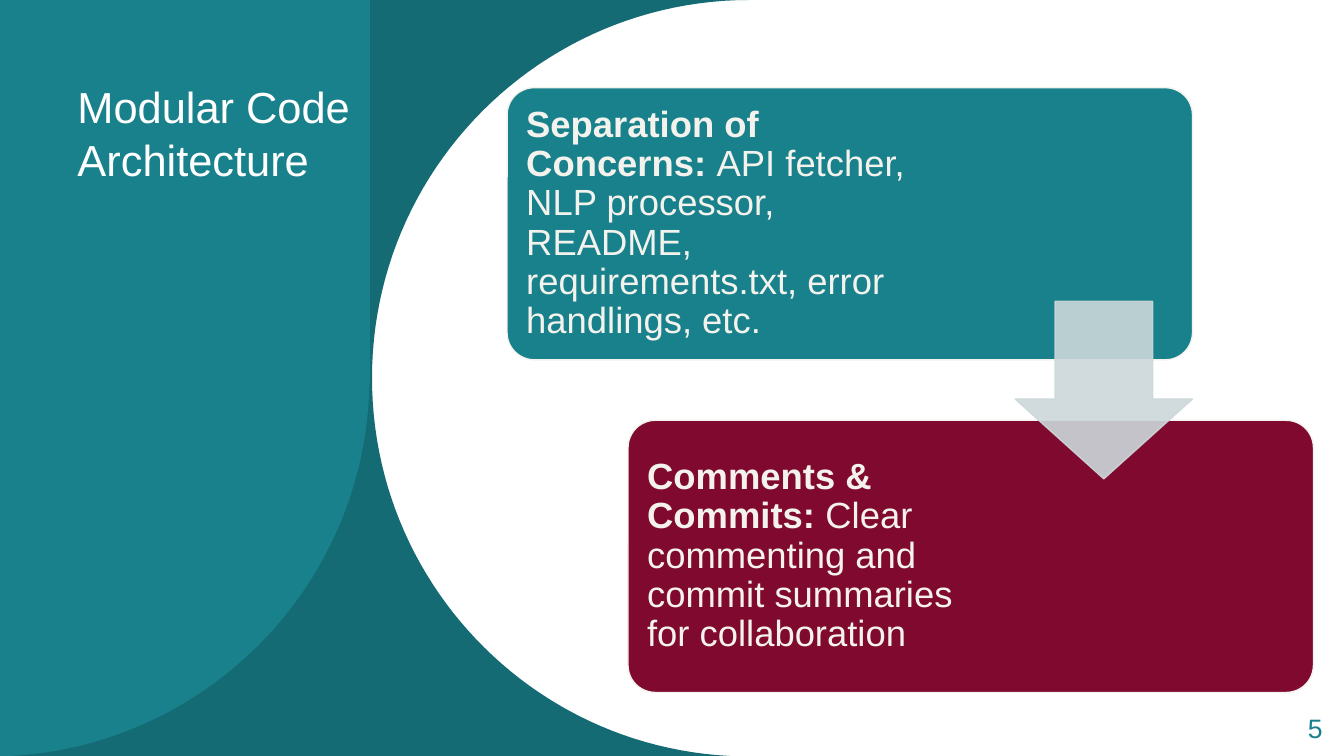
from lxml.etree import SubElement
from pptx import Presentation
from pptx.dml.color import RGBColor
from pptx.enum.shapes import MSO_SHAPE as Preset
from pptx.enum.text import MSO_ANCHOR as Anchor, PP_ALIGN as Align
from pptx.oxml.ns import qn
from pptx.util import Inches, Pt

COLOURS = {
    "teal": "18818C",
    "deep_teal": "146B73",
    "wine": "800A2F",
    "mist": "CCD8DA",
    "cream": "F4F2EC",
    "white": "FFFFFF",
}


def set_all(target, values):
    for name, value in values.items():
        setattr(target, name, value)


def bezier(start, control_1, control_2, end, steps=48):
    """Points along a cubic curve, both ends included."""
    points = []
    for step in range(steps + 1):
        t = step / steps
        weights = ((1 - t) ** 3, 3 * t * (1 - t) ** 2, 3 * t * t * (1 - t), t ** 3)
        corners = (start, control_1, control_2, end)
        points.append(tuple(sum(w * c[axis] for w, c in zip(weights, corners))
                            for axis in (0, 1)))
    return points


class SlideBuilder:
    """Draws on one slide; every length is a percentage of the slide's size."""

    font_name = "Arial"

    def __init__(self, deck):
        self.width, self.height = deck.slide_width, deck.slide_height
        self.slide = deck.slides.add_slide(deck.slide_layouts[6])
        set_all(self.slide.background.fill, {})
        self.shapes = self.slide.shapes

    def x(self, share):
        return round(self.width * share / 100)

    def y(self, share):
        return round(self.height * share / 100)

    def place(self, left, top, width, height):
        return self.x(left), self.y(top), self.x(width), self.y(height)

    def colour(self, name):
        return RGBColor.from_string(COLOURS[name])

    def paint(self, shape, fill, line=None, opacity=100):
        shape.shadow.inherit = False
        shape.fill.solid()
        shape.fill.fore_color.rgb = self.colour(fill)
        if line:
            shape.line.color.rgb = self.colour(line)
            shape.line.width = Pt(1)
        else:
            shape.line.fill.background()
        if opacity < 100:
            for tone in shape._element.spPr.iter(qn("a:srgbClr")):
                SubElement(tone, qn("a:alpha"), val=str(opacity * 1000))

    def outline(self, points, fill):
        corners = [(self.x(x), self.y(y)) for x, y in points]
        pen = self.shapes.build_freeform(*corners[0])
        pen.add_line_segments(corners[1:], close=True)
        self.paint(pen.convert_to_shape(), fill)

    def preset(self, kind, area, adjustments, **look):
        shape = self.shapes.add_shape(kind, *self.place(*area))
        for index, value in enumerate(adjustments):
            shape.adjustments[index] = value
        self.paint(shape, **look)

    def text(self, area, runs, size, colour, frame_format=None, paragraph_format=None):
        """Runs are (wording, bold) pairs in one paragraph."""
        frame = self.shapes.add_textbox(*self.place(*area)).text_frame
        set_all(frame, {"word_wrap": True, **(frame_format or {})})
        paragraph = frame.paragraphs[0]
        set_all(paragraph, paragraph_format or {})
        for wording, bold in runs:
            run = paragraph.add_run()
            run.text = wording
            set_all(run.font, {"name": self.font_name, "size": Pt(size), "bold": bold})
            run.font.color.rgb = self.colour(colour)

    def card(self, left, top, text_width, fill, heading, detail):
        width, height, gap = 51, 36, 1
        self.preset(Preset.ROUNDED_RECTANGLE, (left, top, width, height), [0.1],
                    fill=fill, line="cream")
        margins = {f"margin_{side}": Inches(0.11)
                   for side in ("left", "top", "right", "bottom")}
        self.text((left + 0.6, top + gap, text_width, height - 2 * gap),
                  [(heading, True), (detail, False)], 26, "cream",
                  {"vertical_anchor": Anchor.MIDDLE, **margins}, {"line_spacing": 0.9})


def main():
    deck = Presentation()
    set_all(deck, {"slide_width": Inches(13.33), "slide_height": Inches(7.5)})
    page = SlideBuilder(deck)

    page.outline([(0, 0),
                  *bezier((55.8, 0), (40.28, 0), (27.68, 22.4), (27.68, 50)),
                  *bezier((27.68, 50), (27.68, 76.8), (39.45, 98.67), (54.3, 100)),
                  (0, 100)], "deep_teal")
    page.outline([(0, 0), (27.53, 0), (27.53, 50),
                  *bezier((27.45, 52.53), (26.7, 78.13), (15.15, 98.67), (0.75, 100)),
                  (0, 100)], "teal")

    page.text((5.03, 10, 21.98, 53.33), [("Modular Code Architecture", False)],
              31, "white")
    page.text((93.45, 93.87, 5.7, 5.33), [("5", False)], 19, "teal",
              {"vertical_anchor": Anchor.MIDDLE},
              {"alignment": Align.RIGHT, "line_spacing": 0.9})

    cards = [
        (30.08, "teal", "Separation of Concerns: ",
         "API fetcher, NLP processor, README, requirements.txt, error handlings, etc."),
        (27.68, "wine", "Comments & Commits: ",
         "Clear commenting and commit summaries for collaboration"),
    ]
    for order, content in enumerate(cards):
        page.card(37.73 + 9 * order, 11.6 + 44.0 * order, *content)
    page.preset(Preset.DOWN_ARROW, (75.53, 39.87, 13.2, 23.47), [0.55, 0.45],
                fill="mist", line="mist", opacity=90)

    deck.save("out.pptx")


if __name__ == "__main__":
    main()
